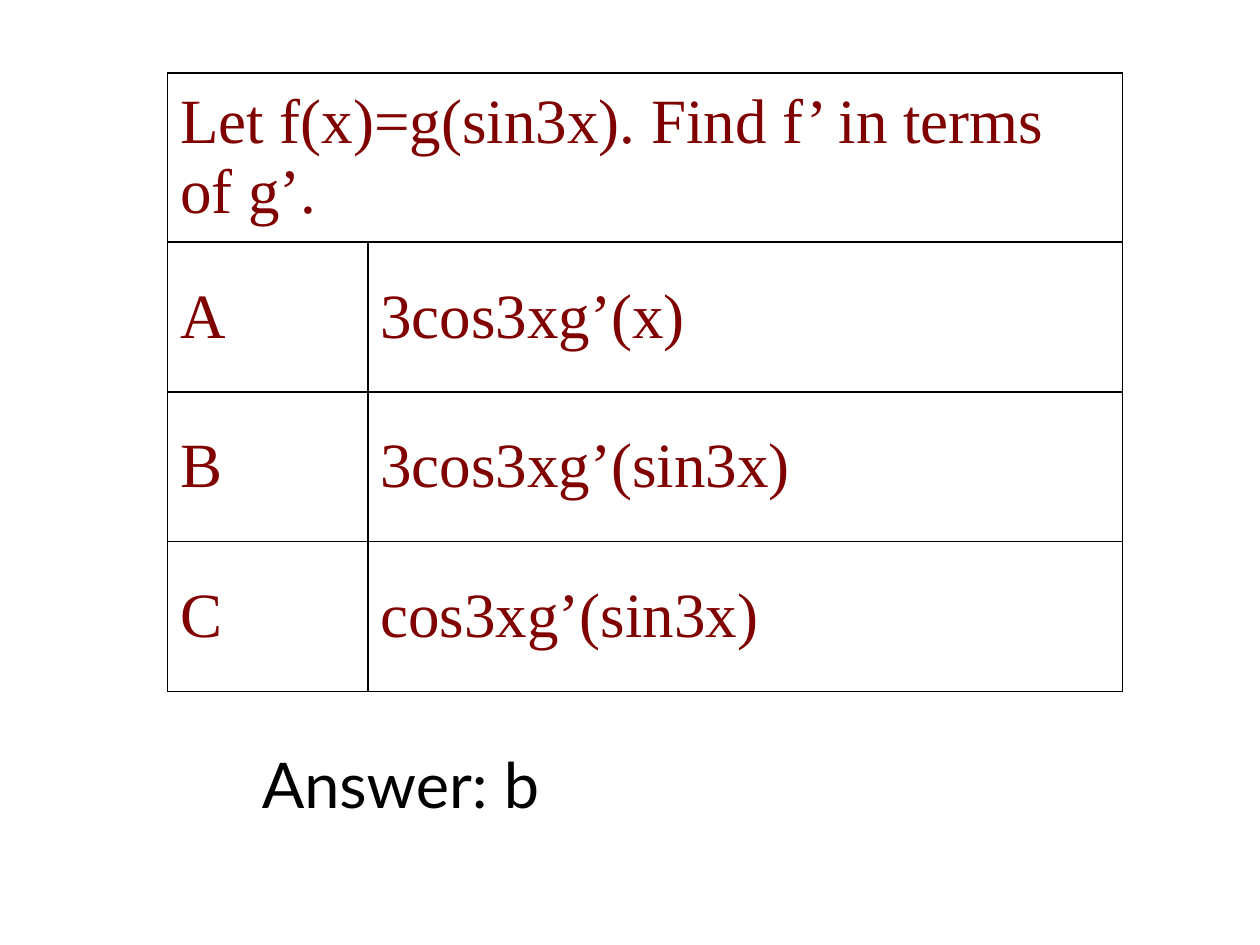
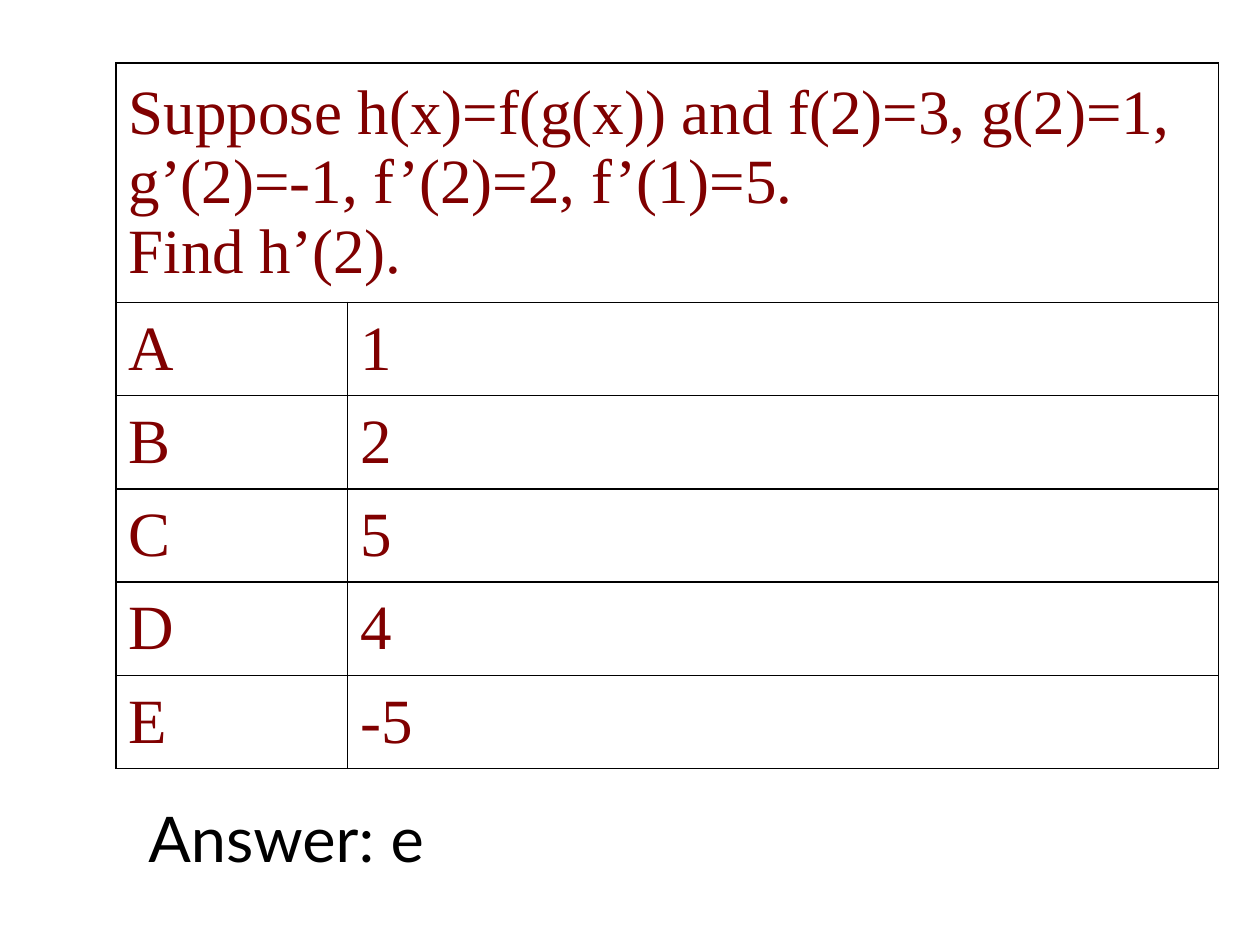
from lxml import etree
from pptx import Presentation
from pptx.dml.color import RGBColor
from pptx.enum.text import MSO_ANCHOR, MSO_AUTO_SIZE
from pptx.oxml.ns import qn
from pptx.util import Inches, Pt

MIDDLE = MSO_ANCHOR.MIDDLE
GROW = MSO_AUTO_SIZE.SHAPE_TO_FIT_TEXT
BLANK_LAYOUT = 6
INK = "000000"
MAROON = "800000"
QUESTION_FONT = {"name": "Times New Roman", "size": Pt(36)}
ANSWER_FONT = {"name": "Lato", "size": Pt(36)}

QUIZ = [
    {
        "question": "Let f(x)=g(sin3x). Find f’ in terms of g’.",
        "choices": ["3cos3xg’(x)", "3cos3xg’(sin3x)", "cos3xg’(sin3x)"],
        "place": (1.33, 0.58),
        "columns": (1.59, 5.99),
        "heights": (1.34, 1.19),
        "answer": "Answer: b",
        "answer_box": (1.98, 5.87, 2.43, 0.7),
    },
    {
        "question": "Suppose h(x)=f(g(x)) and f(2)=3, g(2)=1, "
                    "g’(2)=-1, f’(2)=2, f’(1)=5.\nFind h’(2).",
        "choices": ["1", "2", "5", "4", "-5"],
        "place": (0.92, 0.5),
        "columns": (1.84, 6.91),
        "heights": (1.9, 0.74),
        "answer": "Answer: e",
        "answer_box": (1.08, 6.3, 2.42, 0.7),
    },
]


def rgb(value):
    """Turn a hex string into a colour."""
    return RGBColor.from_string(value)


class QuizDeck:
    """Hold the quiz style and the current slide."""

    def __init__(self):
        """Start an empty 4:3 presentation."""
        self.presentation = Presentation()
        self.presentation.slide_width = Inches(10)
        self.presentation.slide_height = Inches(7.5)
        self.slide = None

    def new_slide(self):
        """Add a blank slide and make it current."""
        layout = self.presentation.slide_layouts[BLANK_LAYOUT]
        self.slide = self.presentation.slides.add_slide(layout)

    def set_text(self, frame, text, font_format, color):
        """Fill a frame with text in one font for every paragraph."""
        frame.text = text
        for paragraph in frame.paragraphs:
            for run in paragraph.runs:
                for attribute, value in font_format.items():
                    setattr(run.font, attribute, value)
                run.font.color.rgb = rgb(color)

    def outline(self, cell):
        """Clear the cell fill and rule its four sides."""
        cell.fill.background()
        properties = cell._tc.get_or_add_tcPr()
        for position, side in enumerate(("lnL", "lnR", "lnT", "lnB")):
            border = etree.Element(qn(f"a:{side}"), w=str(Pt(1)))
            fill = etree.SubElement(border, qn("a:solidFill"))
            etree.SubElement(fill, qn("a:srgbClr"), val=INK)
            properties.insert(position, border)

    def question_table(self, question, choices, place, columns, heights):
        """Add a question row above lettered choices."""
        question_height, choice_height = heights
        row_heights = [question_height] + [choice_height] * len(choices)
        size = (sum(columns), sum(row_heights))
        table = self.slide.shapes.add_table(
            len(row_heights), len(columns), *map(Inches, place + size)).table
        for column, width in zip(table.columns, columns):
            column.width = Inches(width)
        for row, height in zip(table.rows, row_heights):
            row.height = Inches(height)
        table.cell(0, 0).merge(table.cell(0, 1))
        lettered = list(zip("ABCDE", choices))
        for row, texts in zip(table.rows, [(question, "")] + lettered):
            for cell, text in zip(row.cells, texts):
                self.outline(cell)
                cell.vertical_anchor = MIDDLE
                self.set_text(cell.text_frame, text, QUESTION_FONT, MAROON)

    def answer_line(self, answer, box):
        """Add the answer below the table."""
        frame = self.slide.shapes.add_textbox(*map(Inches, box)).text_frame
        for attribute, value in {"word_wrap": False, "auto_size": GROW}.items():
            setattr(frame, attribute, value)
        self.set_text(frame, answer, ANSWER_FONT, INK)


def main():
    """Build and save the quiz."""
    deck = QuizDeck()
    for item in QUIZ:
        deck.new_slide()
        deck.question_table(item["question"], item["choices"], item["place"],
                            item["columns"], item["heights"])
        deck.answer_line(item["answer"], item["answer_box"])
    deck.presentation.save("out.pptx")


if __name__ == "__main__":
    main()
